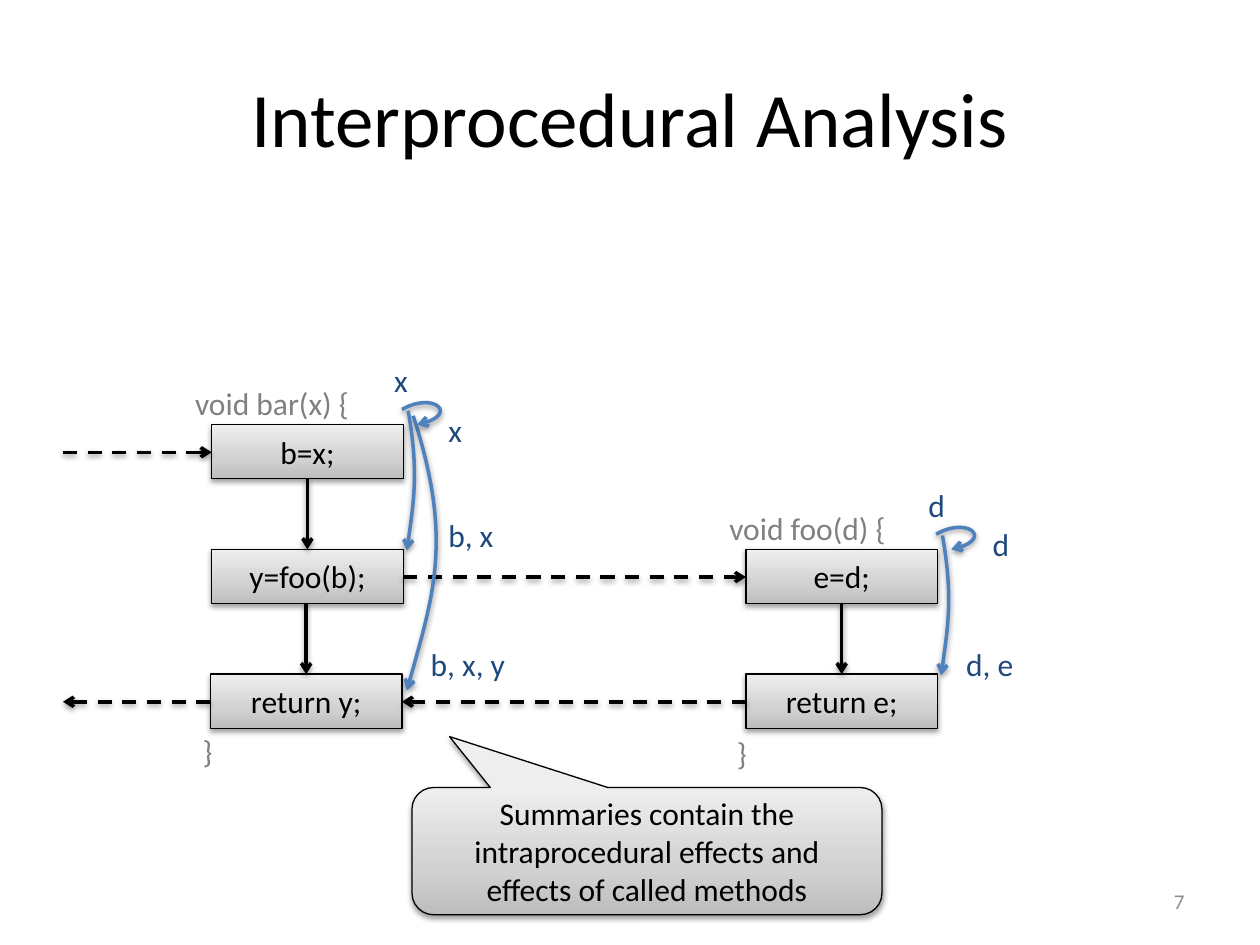
"""Build a slide on interprocedural analysis with two linked flow graphs."""
import copy

import lxml.etree
import pptx
import pptx.dml.color
import pptx.enum.dml
import pptx.enum.shapes
import pptx.enum.text
import pptx.oxml
import pptx.oxml.ns
import pptx.util

Inches = pptx.util.Inches
Pt = pptx.util.Pt
Align = pptx.enum.text.PP_ALIGN
Anchor = pptx.enum.text.MSO_ANCHOR
Shape = pptx.enum.shapes.MSO_SHAPE
colour = pptx.dml.color.RGBColor.from_string
qn = pptx.oxml.ns.qn

SHADOW = (
    f'<a:effectLst {pptx.oxml.ns.nsdecls("a")}>'
    '<a:outerShdw blurRad="40000" dist="20000" dir="5400000" rotWithShape="0">'
    '<a:srgbClr val="000000"><a:alpha val="38000"/></a:srgbClr>'
    "</a:outerShdw></a:effectLst>"
)
GRADIENT = [(0, "BDBDBD"), (0.35, "D1D1D1"), (1, "EEEEEE")]
BLACK, GREY, NAVY, BLUE = "000000", "808080", "1F497D", "4F81BD"


def write(box, text, size=18, ink=BLACK, align=Align.CENTER, anchor=Anchor.MIDDLE, wrap=True):
    frame = box.text_frame
    frame.word_wrap = wrap
    frame.vertical_anchor = anchor
    para = frame.paragraphs[0]
    para.alignment = align
    span = para.add_run()
    span.text = text
    for name, value in {"name": "Calibri", "size": Pt(size)}.items():
        setattr(span.font, name, value)
    span.font.color.rgb = colour(ink)


def outline(shape, ink=BLACK, width=2, arrow=True, dashed=False):
    shape.line.color.rgb = colour(ink)
    shape.line.width = Pt(width)
    if dashed:
        shape.line.dash_style = pptx.enum.dml.MSO_LINE.DASH
    properties = shape._element.spPr
    if arrow:
        lxml.etree.SubElement(properties.find(qn("a:ln")), qn("a:tailEnd"), type="arrow")
    for effect in properties.findall(qn("a:effectLst")):
        properties.remove(effect)
    properties.append(pptx.oxml.parse_xml(SHADOW))


deck = pptx.Presentation()
deck.slide_width, deck.slide_height = Inches(10), Inches(7.5)
page = deck.slides.add_slide(deck.slide_layouts[6])

title = page.shapes.add_textbox(Inches(0.5), Inches(0.3), Inches(9), Inches(1.25))
write(title, "Interprocedural Analysis", size=44)

statements = [
    ("e=d;", 5.92, 4.36),
    ("return e;", 5.92, 5.35),
    ("b=x;", 1.68, 3.37),
    ("y=foo(b);", 1.68, 4.36),
    ("return y;", 1.67, 5.35),
]
blocks = [
    (Shape.RECTANGLE, text, left, top, 1.52, 0.43) for text, left, top in statements
]
blocks.append((
    Shape.ROUNDED_RECTANGULAR_CALLOUT,
    "Summaries contain the intraprocedural effects and effects of called methods",
    3.27, 6.25, 3.73, 1.01,
))
for preset, text, *place in blocks:
    block = page.shapes.add_shape(preset, *map(Inches, place))
    if preset == Shape.ROUNDED_RECTANGULAR_CALLOUT:
        for index, value in enumerate((-0.42, -0.9, 0.17)):
            block.adjustments[index] = value
    block.fill.gradient()
    block.fill.gradient_angle = 90
    stop_list = block._element.spPr.find(".//" + qn("a:gsLst"))
    stop_list.insert(1, copy.deepcopy(stop_list[0]))
    for stop, (position, shade) in zip(block.fill.gradient_stops, GRADIENT):
        stop.position = position
        stop.color.rgb = colour(shade)
    outline(block, width=0.75, arrow=False)
    write(block, text)

arrows = [
    (6.68, 4.79, 6.68, 5.35, False),
    (2.44, 3.8, 2.44, 4.36, False),
    (2.43, 4.79, 2.43, 5.35, False),
    (3.2, 4.58, 5.92, 4.58, True),
    (5.92, 5.57, 3.19, 5.57, True),
    (1.67, 5.57, 0.5, 5.57, True),
    (0.5, 3.59, 1.68, 3.59, True),
]
for *ends, dashed in arrows:
    straight = pptx.enum.shapes.MSO_CONNECTOR.STRAIGHT
    arrow = page.shapes.add_connector(straight, *map(Inches, ends))
    outline(arrow, dashed=dashed)

curves = [[(3.28, 3.3), (3.61, 4.31), (3.43, 4.75), (3.23, 5.48)]]
for left, top in ((3.19, 3.25), (7.43, 4.24)):
    for offsets in (
        [(0, 0), (0.26, -0.15), (0.47, 0.05), (0.12, 0.12)],
        [(0.05, 0.01), (0.14, 0.52), (0.09, 0.75), (0.04, 1.12)],
    ):
        curves.append([(left + across, top + down) for across, down in offsets])
steps = 24
for controls in curves:
    points = []
    for step in range(steps + 1):
        t = step / steps
        weights = ((1 - t) ** 3, 3 * t * (1 - t) ** 2, 3 * t**2 * (1 - t), t**3)
        points.append([
            Inches(sum(weight * value for weight, value in zip(weights, axis)))
            for axis in zip(*controls)
        ])
    builder = page.shapes.build_freeform(*points[0])
    builder.add_line_segments(points[1:], close=False)
    curve = builder.convert_to_shape()
    curve.fill.background()
    outline(curve, ink=BLUE)

labels = [
    ("d", 7.27, 3.81, 0.34, NAVY),
    ("d", 7.78, 4.12, 0.34, NAVY),
    ("d, e", 7.57, 5.07, 0.58, NAVY),
    ("void foo(d) {", 5.69, 3.99, 1.46, GREY),
    ("}", 5.75, 5.78, 0.28, GREY),
    ("x", 3.03, 2.82, 0.31, NAVY),
    ("x", 3.46, 3.21, 0.31, NAVY),
    ("b, x", 3.46, 4.05, 0.56, NAVY),
    ("b, x, y", 3.32, 5.07, 0.8, NAVY),
    ("void bar(x) {", 1.45, 3, 1.44, GREY),
    ("}", 1.51, 5.76, 0.28, GREY),
]
for text, left, top, width, ink in labels:
    label = page.shapes.add_textbox(Inches(left), Inches(top), Inches(width), Inches(0.4))
    write(label, text, ink=ink, align=Align.LEFT, anchor=Anchor.TOP, wrap=False)

number = page.shapes.add_textbox(Inches(7.17), Inches(6.95), Inches(2.33), Inches(0.4))
write(number, "7", size=12, ink="8C8C8C", align=Align.RIGHT)

deck.save("out.pptx")
